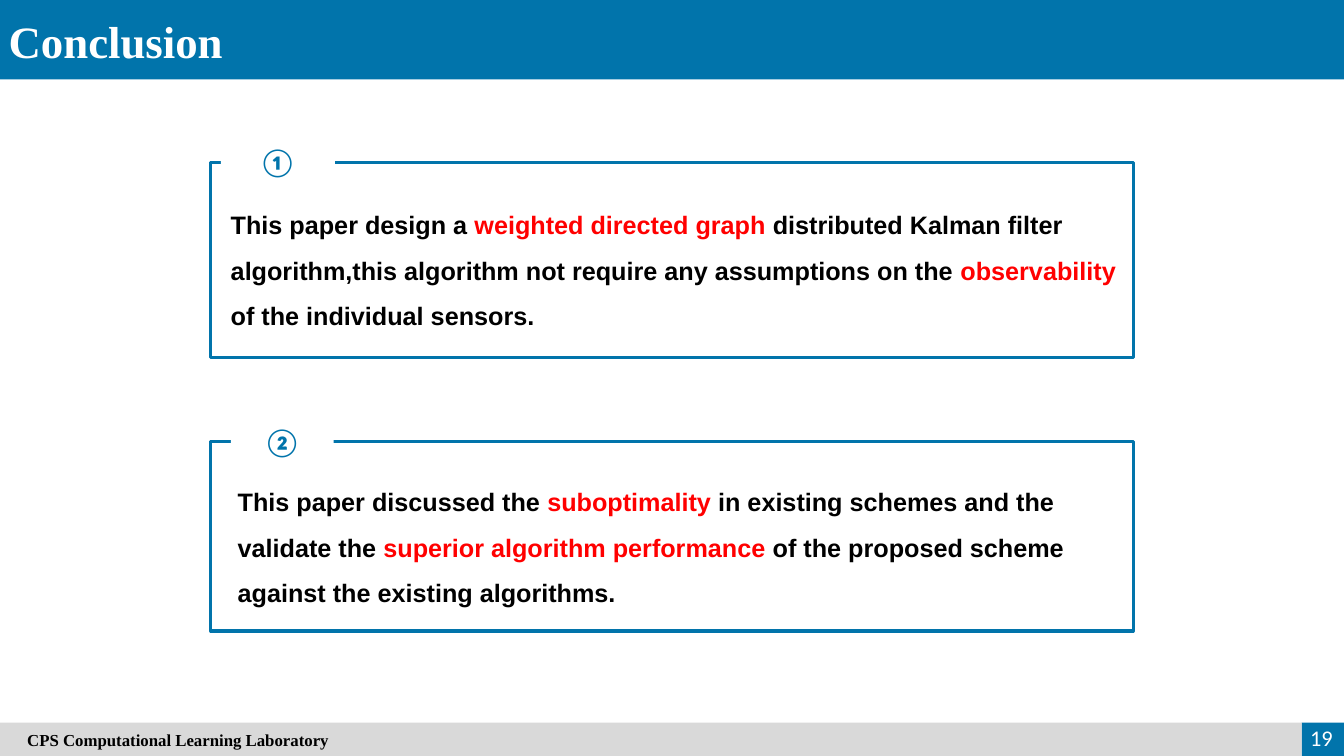
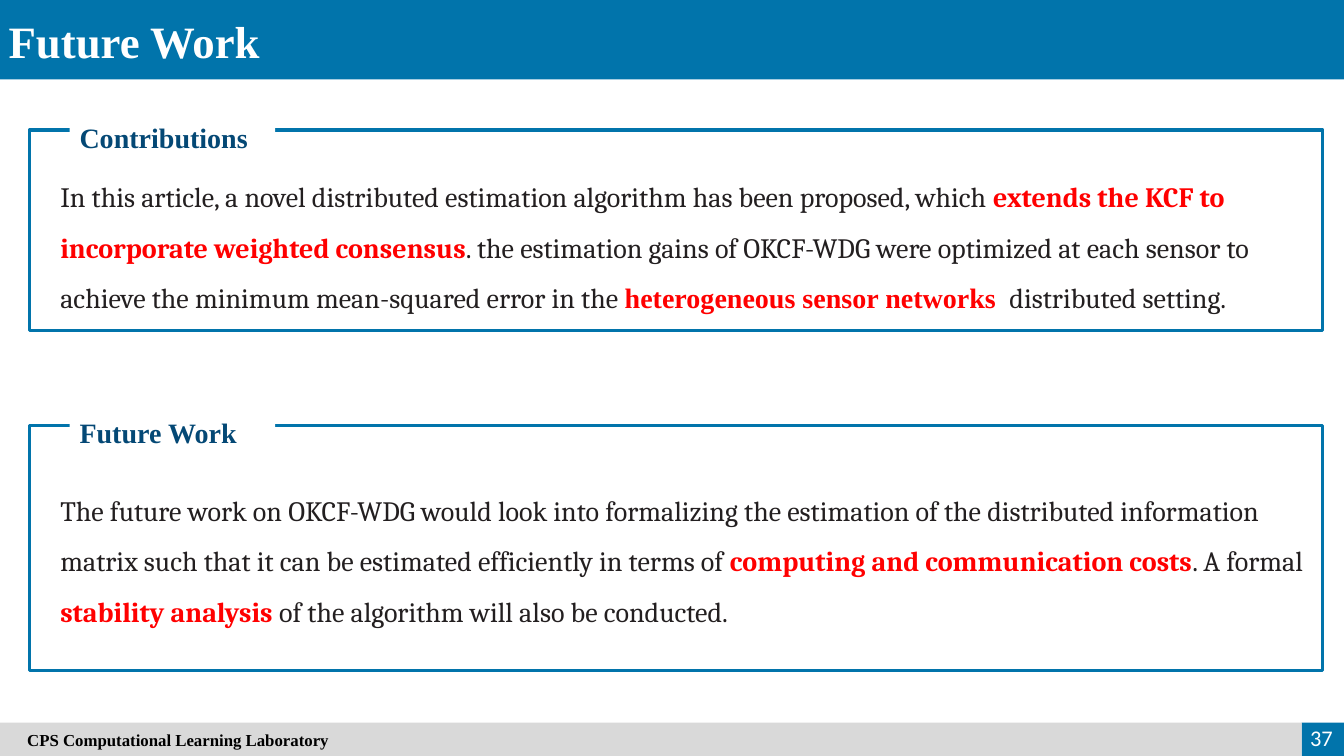
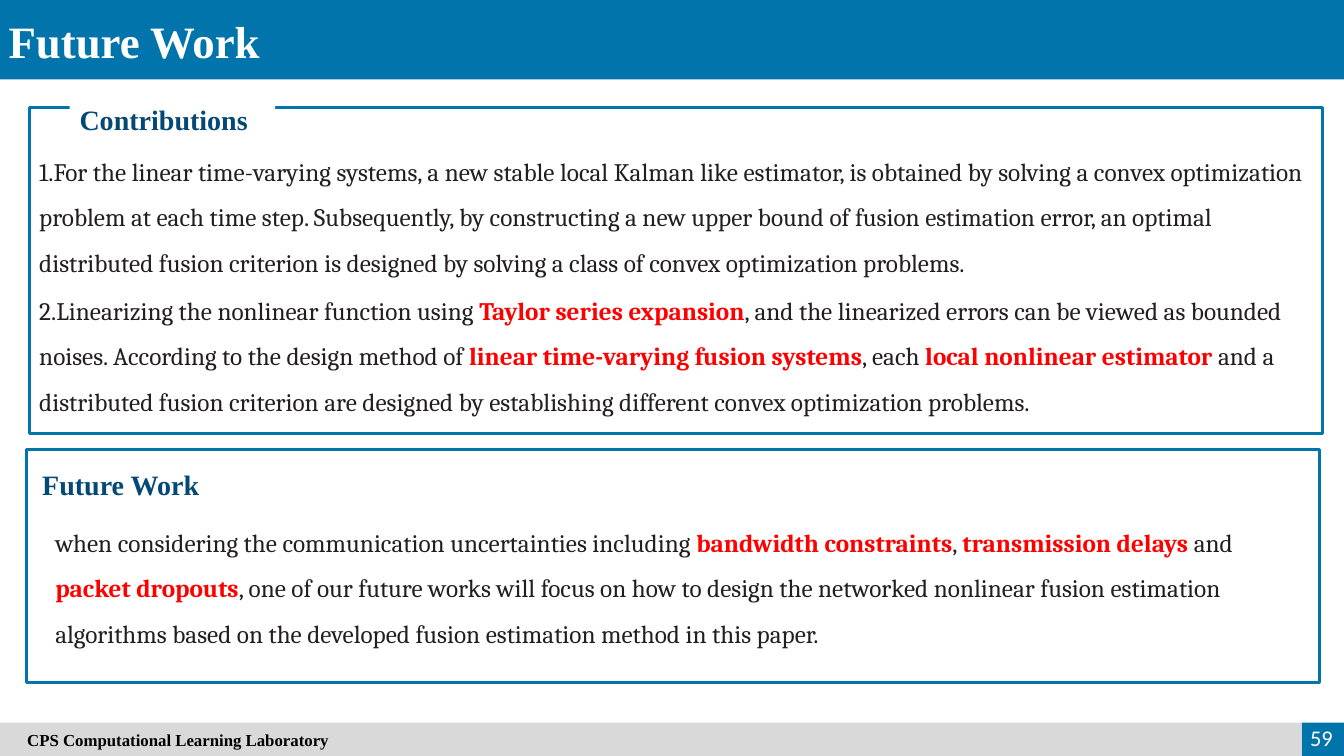
from dataclasses import dataclass
from typing import NamedTuple, Optional, Union

from pptx import Presentation
from pptx.dml.color import RGBColor
from pptx.enum.shapes import MSO_SHAPE
from pptx.enum.text import MSO_ANCHOR, PP_ALIGN
from pptx.util import Inches, Pt

BLUE = RGBColor(0x01, 0x74, 0xAB)
NAVY = RGBColor(0x04, 0x48, 0x75)
INK = RGBColor(0x23, 0x1F, 0x20)
RED = RGBColor(0xFF, 0x00, 0x00)
GREY = RGBColor(0xD9, 0xD9, 0xD9)
WHITE = RGBColor(0xFF, 0xFF, 0xFF)
BLACK = RGBColor(0x00, 0x00, 0x00)

SLIDE_W, SLIDE_H = Inches(13.33), Inches(7.5)
FOOTER_TOP, FOOTER_W = 95.6, 96.85
FOOTER_H = 100 - FOOTER_TOP
FOOTER_INDENT = Inches(0.27)


class Box(NamedTuple):
    """Left, top, width and height in percent of the slide's size."""
    left: float
    top: float
    width: float
    height: float

    def emu(self) -> tuple[int, ...]:
        return tuple(int(share * full / 100) for share, full
                     in zip(self, (SLIDE_W, SLIDE_H) * 2))


class Style(NamedTuple):
    font: str
    size: int
    color: RGBColor
    bold: bool = False
    spacing: Optional[float] = None
    align: PP_ALIGN = PP_ALIGN.LEFT


class Key(NamedTuple):
    """A highlighted phrase, in the font of its text unless another is named."""
    text: str
    font: Optional[str] = None


Words = tuple[Union[str, Key], ...]


@dataclass
class Body:
    box: Box
    words: Words


@dataclass
class Panel:
    frame: Box
    label: str
    label_box: Box
    bodies: list[Body]


@dataclass
class Page:
    title: str
    number: int
    label_style: Style
    body_style: Style
    panels: list[Panel]


TITLE = Style("Times New Roman", 32, WHITE, True)
FOOTER = Style("Times New Roman", 12, BLACK, True)
NUMBER = Style("Calibri", 16, WHITE, align=PP_ALIGN.RIGHT)
BADGE = Style("Calibri", 20, BLUE, True, align=PP_ALIGN.CENTER)
HEADING = Style("Times New Roman", 20, NAVY, True, 1.5)
BODY_BOLD = Style("Arial", 18, BLACK, True, 1.5)
BODY_LARGE = Style("Cambria", 20, INK, False, 1.5)
BODY = Style("Cambria", 18, INK, False, 1.5)


def write(sp, words: Words, style: Style, anchor: MSO_ANCHOR = MSO_ANCHOR.TOP) -> None:
    tf = sp.text_frame
    tf.word_wrap = True
    tf.vertical_anchor = anchor
    p = tf.paragraphs[0]
    p.alignment = style.align
    if style.spacing:
        p.line_spacing = style.spacing
    for piece in words:
        key = piece if isinstance(piece, Key) else None
        r = p.add_run()
        r.text = key.text if key else piece
        r.font.name = (key and key.font) or style.font
        r.font.size = Pt(style.size)
        r.font.bold = style.bold or key is not None
        r.font.color.rgb = RED if key else style.color


def add_rect(s, box: Box, fill: Optional[RGBColor] = None, line: Optional[RGBColor] = None):
    sp = s.shapes.add_shape(MSO_SHAPE.RECTANGLE, *box.emu())
    sp.shadow.inherit = False
    if fill is None:
        sp.fill.background()
    else:
        sp.fill.solid()
        sp.fill.fore_color.rgb = fill
    if line is None:
        sp.line.fill.background()
    else:
        sp.line.color.rgb = line
        sp.line.width = Pt(2.25)
    return sp


def add_text(s, box: Box, words: Words, style: Style, anchor: MSO_ANCHOR = MSO_ANCHOR.TOP) -> None:
    write(s.shapes.add_textbox(*box.emu()), words, style, anchor)


def add_bands(s, title: str, number: int) -> None:
    """Draw the title band and the footer with its page number."""
    add_rect(s, Box(0, 0, 100, 10.5), BLUE)
    add_text(s, Box(-0.1, 1.1, 40.3, 8.5), (title,), TITLE)
    add_rect(s, Box(FOOTER_W, FOOTER_TOP, 100 - FOOTER_W, FOOTER_H), BLUE)
    footer = add_rect(s, Box(0, FOOTER_TOP, FOOTER_W, FOOTER_H), GREY)
    write(footer, ("CPS Computational Learning Laboratory",), FOOTER, MSO_ANCHOR.MIDDLE)
    footer.text_frame.margin_left = FOOTER_INDENT
    add_text(s, Box(95.2, 95.1, 4.7, 5.3 - 0.4), (str(number),), NUMBER, MSO_ANCHOR.MIDDLE)


def add_panel(s, panel: Panel, label_style: Style, body_style: Style) -> None:
    add_rect(s, panel.frame, line=BLUE)
    label = add_rect(s, panel.label_box, WHITE)
    write(label, (panel.label,), label_style, MSO_ANCHOR.MIDDLE)
    for body in panel.bodies:
        add_text(s, body.box, body.words, body_style)


PAGES = [
    Page("Conclusion", 19, BADGE, BODY_BOLD, [
        Panel(Box(15.68, 21.47, 68.64, 25.87), "①", Box(16.43, 17.73, 8.48, 7.33), [
            Body(Box(16.43, 25.07, 69.09, 18.8), (
                "This paper design a ",
                Key("weighted directed graph "),
                "distributed Kalman filter algorithm,this algorithm not require any "
                "assumptions on the ",
                Key("observability"),
                " of the individual sensors."))]),
        Panel(Box(15.68, 58.4, 68.64, 25.07), "②", Box(17.18, 54.67, 7.65, 7.33), [
            Body(Box(16.95, 61.73, 69.69, 18.8), (
                "This paper discussed the ",
                Key("suboptimality"),
                " in existing schemes and the validate the ",
                Key("superior algorithm performance "),
                "of the proposed scheme against the existing algorithms."))]),
    ]),
    Page("Future Work", 37, HEADING, BODY_LARGE, [
        Panel(Box(2.18, 17.2, 96.25, 26.53), "Contributions", Box(5.18, 13.33, 15.3, 7.47), [
            Body(Box(3.75, 20.93, 94.8, 20.8), (
                "In this article, a novel distributed estimation algorithm has been "
                "proposed, which ",
                Key("extends the KCF to incorporate weighted consensus"),
                ". the estimation gains of OKCF-WDG were optimized at each sensor to "
                "achieve the minimum mean-squared error in the ",
                Key("heterogeneous sensor networks ", "Times New Roman"),
                " distributed setting."))]),
        Panel(Box(2.18, 56.27, 96.25, 32.4), "Future Work", Box(5.18, 52.4, 15.3, 7.47), [
            Body(Box(3.75, 62.4, 94.8, 20.8), (
                "The future work on OKCF-WDG would look into formalizing the estimation "
                "of the distributed information matrix such that it can be estimated "
                "efficiently in terms of ",
                Key("computing and communication costs"),
                ". A formal ",
                Key("stability analysis "),
                "of the algorithm will also be conducted."))]),
    ]),
    Page("Future Work", 59, HEADING, BODY, [
        Panel(Box(2.18, 14.27, 96.25, 43.07), "Contributions", Box(5.18, 10.93, 15.3, 7.47), [
            Body(Box(2.18, 18, 96.25, 18.8), (
                "1.For the linear time-varying systems, a new stable local Kalman like "
                "estimator, is obtained by solving a convex optimization problem at each "
                "time step. Subsequently, by constructing a new upper bound of fusion "
                "estimation error, an optimal distributed fusion criterion is designed by "
                "solving a class of convex optimization problems.",)),
            Body(Box(2.18, 36.4, 96.25, 18.8), (
                "2.Linearizing the nonlinear function using ",
                Key("Taylor series expansion"),
                ", and the linearized errors can be viewed as bounded noises. According "
                "to the design method of ",
                Key("linear time-varying fusion systems"),
                ", each ",
                Key("local nonlinear estimator "),
                "and a distributed fusion criterion are designed by establishing "
                "different convex optimization problems."))]),
        Panel(Box(1.95, 59.47, 96.25, 30.8), "Future Work", Box(2.4, 60.93, 15.3, 4), [
            Body(Box(3.38, 67.07, 95.12, 18.8), (
                "when considering the communication uncertainties including ",
                Key("bandwidth constraints"),
                ", ",
                Key("transmission delays "),
                "and ",
                Key("packet dropouts"),
                ", one of our future works will focus on how to design the networked "
                "nonlinear fusion estimation algorithms based on the developed fusion "
                "estimation method in this paper."))]),
    ]),
]


def main() -> None:
    prs = Presentation()
    prs.slide_width, prs.slide_height = SLIDE_W, SLIDE_H
    blank = prs.slide_layouts[6]
    for page in PAGES:
        s = prs.slides.add_slide(blank)
        add_bands(s, page.title, page.number)
        for panel in page.panels:
            add_panel(s, panel, page.label_style, page.body_style)
    prs.save("out.pptx")


if __name__ == "__main__":
    main()
